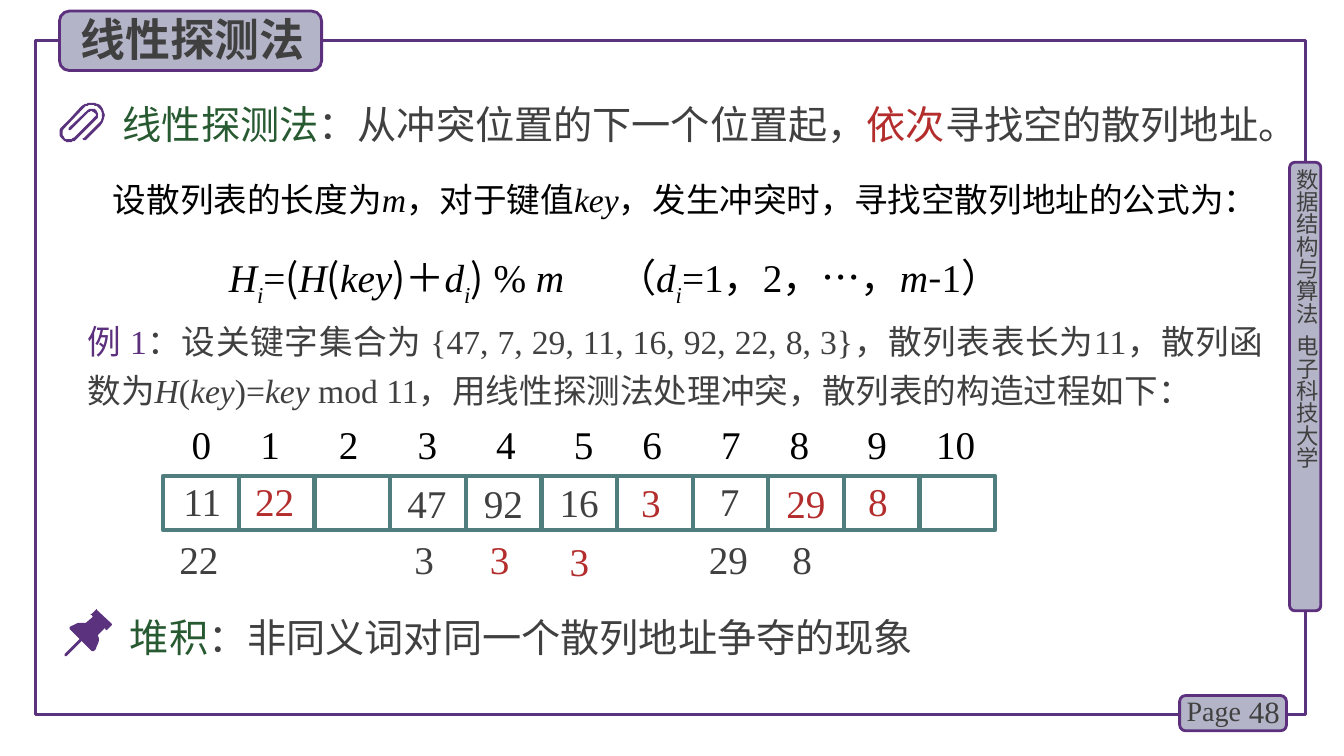
"""Build the slide on linear probing in hash tables."""
from lxml.etree import SubElement
from pptx import Presentation
from pptx.dml.color import RGBColor
from pptx.enum.lang import MSO_LANGUAGE_ID
from pptx.enum.shapes import MSO_SHAPE
from pptx.enum.text import MSO_ANCHOR, PP_ALIGN
from pptx.oxml.ns import qn
from pptx.util import Emu, Pt

PX = 9144
WIDTH, HEIGHT = 1333, 750
SANS, SERIF = "Noto Sans CJK SC", "Times New Roman"
COLORS = {"frame": "5A327D", "edge": "5C307D", "panel": "B4B4C8", "cell": "507D7D",
          "gray": "404040", "black": "000000", "green": "285A32", "red": "B42D2D"}

FRAME = (35, 40, 1260, 669)
PANELS = [(1279, 161, 31, 445), (1170, 690, 106, 35), (59, 11, 260, 59)]

TITLE = [("线性探测法", "gray", "b")]
COURSE = [("数据结构与算法  电子科技大学", "gray", "")]
DEFINITION = [("线性探测法", "green", ""), ("：从冲突位置的下一个位置起，", "gray", ""),
              ("依次", "red", ""), ("寻找空的散列地址。", "gray", "")]
SETTING = [("设散列表的长度为", "black", ""), ("m", "black", "i"), ("，对于键值", "black", ""),
           ("key", "black", "i"), ("，发生冲突时，寻找空散列地址的公式为：", "black", "")]
FORMULA = [(text, "black", style) for text, style in [
    ("H", "i"), ("i", "is"), ("=", ""), ("(", "n"), ("H", "i"), ("(", "n"), ("key", "i"),
    (")＋", "n"), ("d", "i"), ("i", "is"), (")", "n"), (" % ", ""), ("m", "i"), ("\t", ""),
    ("（", "n"), ("d", "i"), ("i", "is"), ("=1", ""), ("，", "n"), ("2", ""), ("，", "n"),
    ("…", ""), ("，", "n"), ("m", "i"), ("-", "n"), ("1", ""), ("）", "n")]]
EXAMPLE = [("例 1", "edge", ""),
           ("：设关键字集合为 {47, 7, 29, 11, 16, 92, 22, 8, 3}，散列表表长为11，散列函数为", "gray", ""),
           ("H", "gray", "i"), ("(", "gray", ""), ("key", "gray", "i"), (")=", "gray", ""),
           ("key", "gray", "i"),
           (" mod 11，用线性探测法处理冲突，散列表的构造过程如下：", "gray", "")]
CLUSTERING = [("堆积", "green", ""), ("：非同义词对同一个散列地址争夺的现象", "gray", "")]

CELLS = 11
CELL_LEFT, CELL_TOP, CELL_WIDTH, CELL_HEIGHT = 162, 472, 75, 54
INDEX_CENTERS = [200, 268, 346, 424, 502, 579, 647, 725, 793, 870, 948]
STORED_KEYS = [("11", 182, 474, "gray"), ("22", 253, 474, "red"), ("47", 404, 476, "gray"),
               ("92", 480, 476, "gray"), ("16", 555, 475, "gray"), ("3", 636, 475, "red"),
               ("7", 714, 474, "gray"), ("29", 780, 476, "red"), ("8", 861, 474, "red")]
COLLIDING_KEYS = [("22", 178, 531, "gray"), ("3", 411, 531, "gray"), ("3", 486, 531, "red"),
                  ("3", 565, 533, "red"), ("29", 703, 531, "gray"), ("8", 786, 531, "gray")]

PAPERCLIP = [
    (100, 105), (98, 103, 94, 102, 91, 102), (87, 102, 84, 103, 81, 105), (70, 117), (62, 125),
    (58, 128, 58, 135, 62, 138), (64, 140, 66, 141, 69, 141), (71, 141, 74, 140, 76, 138),
    (90, 124), (95, 119), (97, 118, 97, 116, 97, 114), (97, 112, 97, 111, 95, 109),
    (93, 107, 88, 107, 86, 110), (68, 127), (68, 127, 68, 128, 68, 129), (69, 129), (70, 129),
    (88, 111), (89, 110, 92, 110, 93, 111), (94, 112, 95, 113, 95, 114),
    (95, 115, 94, 116, 93, 117), (88, 122), (74, 136), (71, 139, 66, 139, 64, 137),
    (61, 134, 61, 129, 64, 127), (65, 126), (83, 107), (85, 105, 88, 104, 91, 104),
    (93, 104, 96, 105, 98, 107), (102, 111, 102, 118, 98, 122), (83, 137),
    (82, 137, 82, 138, 83, 139), (84, 139), (85, 139), (100, 124), (105, 119, 105, 110, 100, 105)]
PIN_HEAD = [
    (111, 619), (96, 605), (96, 604, 96, 604, 95, 605), (91, 609), (90, 609, 90, 609, 90, 610),
    (91, 610), (92, 612), (85, 618), (84, 618, 83, 618, 81, 618), (77, 618, 72, 619, 69, 622),
    (69, 623, 69, 623, 69, 624), (91, 646), (93, 646), (97, 642, 99, 636, 97, 630), (104, 623),
    (105, 625), (106, 625), (111, 620)]
PIN_NEEDLE = [
    (66, 651), (65, 651, 65, 651, 64, 651), (64, 650, 64, 650, 64, 649), (80, 633),
    (81, 633, 81, 633, 82, 633), (83, 634, 83, 635, 82, 635)]


def color(name):
    return RGBColor.from_string(COLORS[name])


def add_panel(page, kind, at, line, width, fill=None):
    panel = page.shapes.add_shape(kind, *[Emu(v * PX) for v in at])
    panel.shadow.inherit = False
    if fill:
        panel.fill.solid()
        panel.fill.fore_color.rgb = color(fill)
    else:
        panel.fill.background()
    panel.line.color.rgb = color(line)
    panel.line.width = Pt(width)


def add_text(page, at, spans, size, font=SERIF, inset=(10, 5), align=None, spacing=None,
             anchor=MSO_ANCHOR.TOP, tabs=(), tab_align="l", vertical=False):
    box = page.shapes.add_textbox(*[Emu(v * PX) for v in at])
    frame = box.text_frame
    frame.word_wrap = True
    frame.vertical_anchor = anchor
    frame.margin_left = frame.margin_right = Emu(inset[0] * PX)
    frame.margin_top = frame.margin_bottom = Emu(inset[1] * PX)
    if vertical:
        frame._txBody.bodyPr.set("vert", "eaVert")
    para = frame.paragraphs[0]
    para.alignment = align
    para.line_spacing = spacing
    if tabs:
        stops = SubElement(para._p.get_or_add_pPr(), qn("a:tabLst"))
        for stop in tabs:
            SubElement(stops, qn("a:tab"), pos=str(stop * PX), algn=tab_align)
    for text, tint, style in spans:
        span = para.add_run()
        span.text = text
        span.font.size = Pt(size)
        span.font.bold = "b" in style
        span.font.italic = "i" in style
        span.font.color.rgb = color(tint)
        span.font.name = SANS if "n" in style else font
        span.font.language_id = MSO_LANGUAGE_ID.SIMPLIFIED_CHINESE
        properties = span._r.get_or_add_rPr()
        SubElement(properties, qn("a:ea"), typeface=SANS)
        if "s" in style:
            properties.set("baseline", "-30000")


def flatten(outline, steps=6):
    points = [outline[0]]
    for part in outline[1:]:
        if len(part) == 2:
            points.append(part)
            continue
        controls = [points[-1], part[:2], part[2:4], part[4:]]
        for step in range(1, steps + 1):
            t = step / steps
            weights = ((1 - t) ** 3, 3 * t * (1 - t) ** 2, 3 * t * t * (1 - t), t ** 3)
            points.append(tuple(sum(w * c[axis] for w, c in zip(weights, controls))
                                for axis in (0, 1)))
    return points


def add_icon(page, outline):
    points = flatten(outline)
    builder = page.shapes.build_freeform(*points[0], scale=PX)
    builder.add_line_segments(points[1:], close=True)
    icon = builder.convert_to_shape()
    icon.shadow.inherit = False
    icon.fill.solid()
    icon.fill.fore_color.rgb = color("frame")
    icon.line.fill.background()


def main():
    deck = Presentation()
    deck.slide_width, deck.slide_height = Emu(WIDTH * PX), Emu(HEIGHT * PX)
    page = deck.slides.add_slide(deck.slide_layouts[6])

    add_panel(page, MSO_SHAPE.RECTANGLE, FRAME, "frame", 2.25)
    for at in PANELS:
        add_panel(page, MSO_SHAPE.ROUNDED_RECTANGLE, at, "edge", 2, "panel")
    add_text(page, (1283, 167, 27, 449), COURSE, 16, SANS, (0, 0), vertical=True)
    add_text(page, (1220, 686, 59, 40), [("48", "gray", "")], 22,
             align=PP_ALIGN.RIGHT, anchor=MSO_ANCHOR.MIDDLE)
    add_text(page, (1167, 683, 78, 44), [("Page", "gray", "")], 20)
    add_text(page, (70, 7, 265, 64), TITLE, 32, SANS)

    add_text(page, (227, 235, 883, 67), FORMULA, 28, inset=(0, 5), spacing=1.2, tabs=[385])
    add_text(page, (112, 95, 1216, 57), DEFINITION, 28, SANS)
    add_text(page, (112, 165, 1151, 59), SETTING, 24, inset=(0, 5),
             align=PP_ALIGN.JUSTIFY, spacing=1.2)
    add_text(page, (77, 305, 1186, 104), EXAMPLE, 24, align=PP_ALIGN.JUSTIFY, spacing=Pt(35))
    add_text(page, (119, 604, 831, 57), CLUSTERING, 28, SANS)

    for key, left, top, tint in STORED_KEYS + COLLIDING_KEYS:
        add_text(page, (left, top, 25 * len(key), 47), [(key, tint, "")], 28, inset=(0, 0))
    for index in range(CELLS):
        at = (CELL_LEFT + index * CELL_WIDTH, CELL_TOP, CELL_WIDTH, CELL_HEIGHT)
        add_panel(page, MSO_SHAPE.RECTANGLE, at, "cell", 3)
    indices = "".join(f"\t{index}" for index in range(CELLS))
    add_text(page, (CELL_LEFT, 417, 835, 47), [(indices, "black", "")], 28, inset=(10, 0),
             tabs=[center - CELL_LEFT - 10 for center in INDEX_CENTERS], tab_align="ctr")

    for outline in (PAPERCLIP, PIN_HEAD, PIN_NEEDLE):
        add_icon(page, outline)
    deck.save("out.pptx")


if __name__ == "__main__":
    main()
